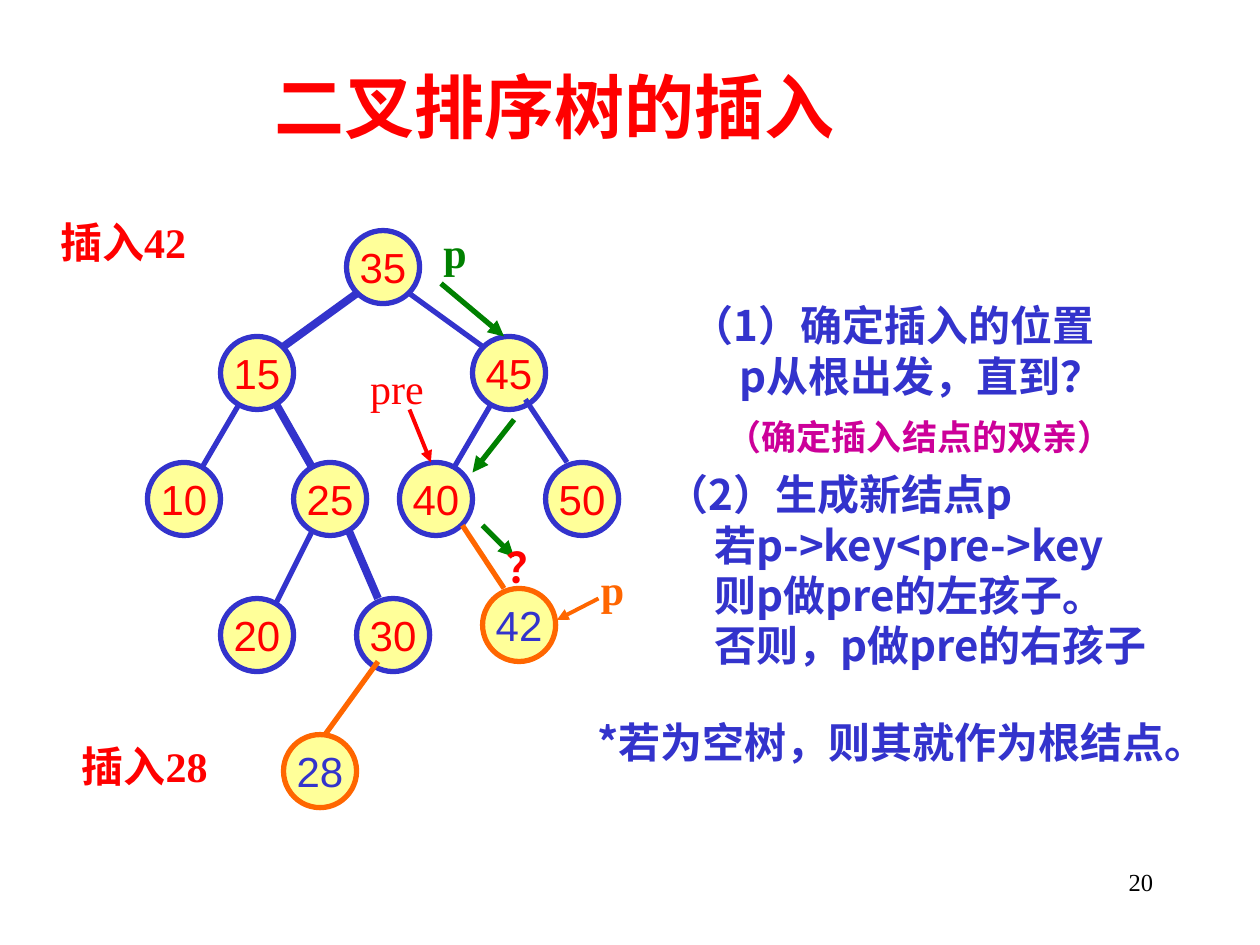
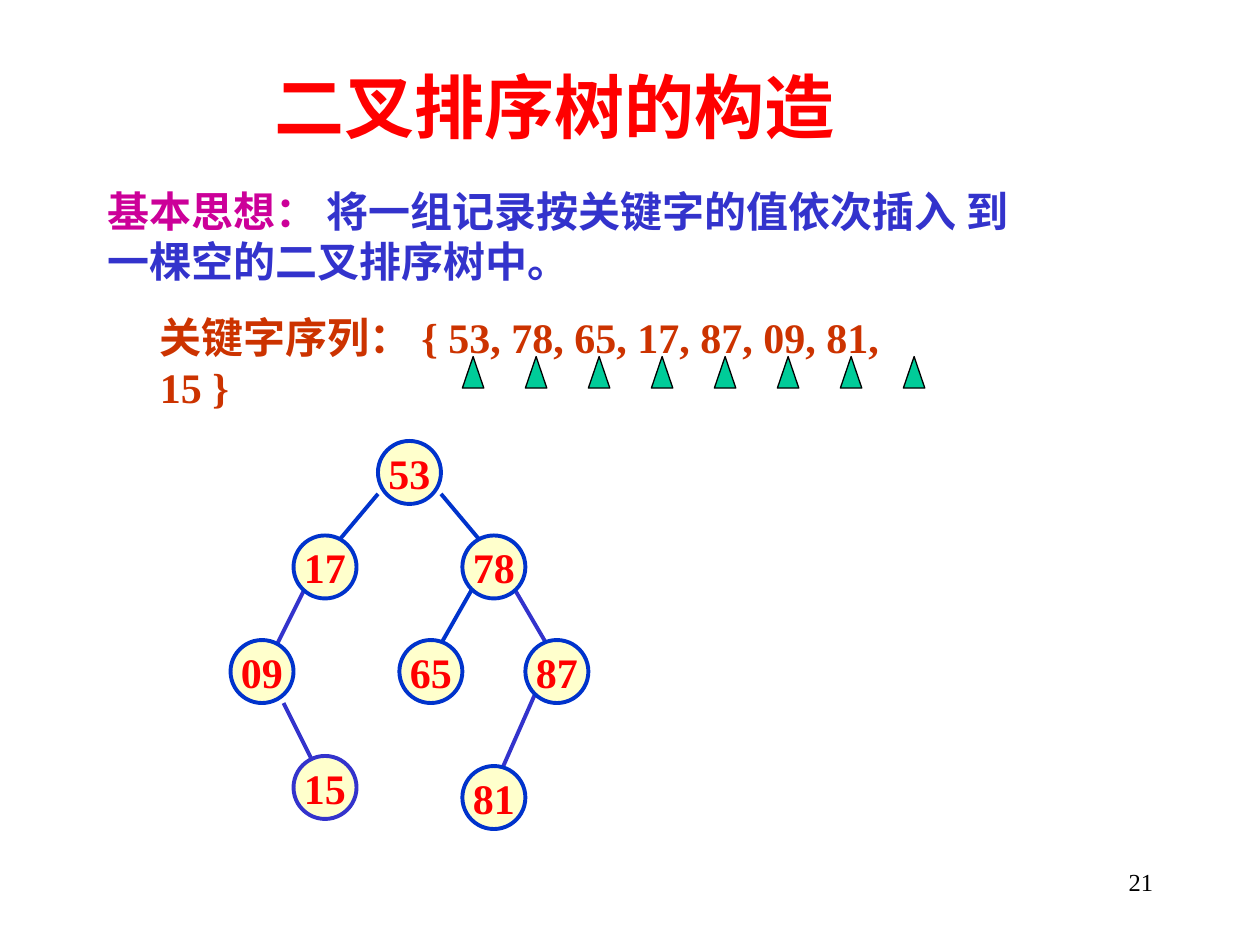
from dataclasses import dataclass
from typing import NamedTuple

from lxml import etree
from pptx import Presentation
from pptx.dml.color import RGBColor
from pptx.enum.shapes import MSO_CONNECTOR, MSO_SHAPE
from pptx.enum.text import MSO_ANCHOR, MSO_AUTO_SIZE, PP_ALIGN
from pptx.oxml.ns import qn
from pptx.util import Inches, Pt

ELLIPSE, TRIANGLE = MSO_SHAPE.OVAL, MSO_SHAPE.ISOSCELES_TRIANGLE
STRAIGHT = MSO_CONNECTOR.STRAIGHT
TOP, MIDDLE = MSO_ANCHOR.TOP, MSO_ANCHOR.MIDDLE
LEFT, CENTER, RIGHT = PP_ALIGN.LEFT, PP_ALIGN.CENTER, PP_ALIGN.RIGHT
NO_FIT = MSO_AUTO_SIZE.NONE

SANS, SERIF, CJK = "Arial", "Times New Roman", "Noto Sans CJK SC"
RED, BLUE, ROYAL, GREEN = "FF0000", "3333CC", "0033CC", "008000"
ORANGE, MAGENTA, RUST, BLACK = "FF6600", "CC0099", "CC3300", "000000"
TEAL, YELLOW, CREAM = "00CC99", "FFFF99", "FFFFCC"
STEP_INDENT = 0.38


@dataclass(frozen=True)
class TextStyle:
    color: str
    size: float = 24
    font: str = SERIF
    bold: bool = True
    align: int = LEFT
    anchor: int = TOP
    wrap: bool = True


@dataclass(frozen=True)
class TreeStyle:
    diameter: float
    fill: str
    line_width: float
    font: str
    bold: bool


class Box(NamedTuple):
    left: float
    top: float
    width: float
    height: float


class Span(NamedTuple):
    text: str
    color: str


class Line(NamedTuple):
    spans: list[Span]
    indent: float = 0


class Label(NamedTuple):
    text: str
    box: Box
    style: TextStyle


class Node(NamedTuple):
    key: str
    left: float
    top: float
    outline: str = BLUE
    text_color: str = RED


class Edge(NamedTuple):
    x1: float
    y1: float
    x2: float
    y2: float
    color: str = BLUE
    width: float = 3
    arrow: bool = False


TITLE = TextStyle(RED, 40, anchor=MIDDLE)
PAGE_NUMBER = TextStyle(BLACK, 14, bold=False, align=RIGHT)
CAPTION = TextStyle(RED)
STEP = TextStyle(BLUE, font=CJK)
TITLE_BOX = Box(2.08, 0.5, 4.92, 0.67)
PAGE_BOX = Box(7.17, 6.83, 2.08, 0.5)

INSERT_TREE = TreeStyle(0.58, YELLOW, 3, SANS, False)
INSERT_EDGES_BELOW = [
    Edge(3.92, 3.17, 3.58, 3.75),
    Edge(2.75, 4.17, 3, 4.75, width=4.5),
    Edge(2.5, 4.17, 2.17, 4.83),
    Edge(1.92, 3.17, 1.58, 3.75),
    Edge(2.17, 3.17, 2.5, 3.75, width=4.5),
]
INSERT_NODES = [
    Node("35", 2.75, 1.83), Node("15", 1.75, 2.67), Node("45", 3.75, 2.67),
    Node("50", 4.33, 3.67), Node("40", 3.17, 3.67), Node("25", 2.33, 3.67),
    Node("10", 1.17, 3.67), Node("20", 1.75, 4.75), Node("30", 2.83, 4.75),
    Node("42", 3.83, 4.67, ORANGE, BLUE), Node("28", 2.25, 5.83, ORANGE, BLUE),
]
INSERT_EDGES_ABOVE = [
    Edge(2.83, 2.33, 2.25, 2.75, width=4.5),
    Edge(3.25, 2.33, 3.83, 2.75),
    Edge(4.17, 3.17, 4.5, 3.67),
    Edge(3.83, 4.17, 4.08, 4.42, GREEN, arrow=True),
    Edge(4.08, 3.33, 3.75, 3.75, GREEN, arrow=True),
    Edge(3.5, 2.25, 4, 2.67, GREEN, arrow=True),
    Edge(3.67, 4.17, 4, 4.67, ORANGE),
    Edge(3.25, 3.25, 3.42, 3.67, RED, 2.25, True),
    Edge(4.75, 4.75, 4.42, 4.92, ORANGE, 2.25, True),
    Edge(3, 5.25, 2.58, 5.83, ORANGE),
]
INSERT_LABELS = [
    Label("插入42", Box(0.38, 1.67, 1.5, 0.5), CAPTION),
    Label("插入28", Box(0.55, 5.83, 1.5, 0.5), CAPTION),
    Label("？", Box(3.92, 4.25, 0.7, 0.5), CAPTION),
    Label("pre", Box(2.84, 2.83, 0.8, 0.5), TextStyle(RED, bold=False)),
    Label("p", Box(3.42, 1.75, 0.5, 0.5), TextStyle(GREEN)),
    Label("p", Box(4.67, 4.42, 0.5, 0.5), TextStyle(ORANGE)),
    Label("（确定插入结点的双亲）", Box(5.67, 3.25, 3.6, 0.44), TextStyle(MAGENTA, 20, CJK)),
    Label("*若为空树，则其就作为根结点。", Box(4.64, 5.64, 4.8, 0.9), STEP),
]
LOCATE_STEPS = [
    Line([Span("（1）确定插入的位置", BLUE)]),
    Line([Span("p从根出发，直到？", BLUE)], STEP_INDENT),
]
ATTACH_STEPS = [
    Line([Span("（2）生成新结点p", BLUE)]),
    Line([Span("若p->key<pre->key", BLUE)], STEP_INDENT),
    Line([Span("则p做pre的左孩子。", BLUE)], STEP_INDENT),
    Line([Span("否则，p做pre的右孩子", BLUE)], STEP_INDENT),
]

BUILD_TREE = TreeStyle(0.5, CREAM, 2.25, SERIF, True)
BUILD_EDGES = [
    Edge(2.25, 5.58, 2.5, 6.08, BLUE, 2.25),
    Edge(4.08, 4.67, 4.42, 5.25, BLUE, 2.25),
    Edge(2.42, 4.67, 2.17, 5.17, BLUE, 2.25),
    Edge(4.25, 5.5, 3.92, 6.25, BLUE, 2.25),
    Edge(3.5, 3.92, 3.92, 4.42, ROYAL, 2.25),
    Edge(3.75, 4.67, 3.42, 5.25, ROYAL, 2.25),
    Edge(3, 3.92, 2.58, 4.42, ROYAL, 2.25),
]
BUILD_NODES = [
    Node("53", 3, 3.5, ROYAL), Node("78", 3.67, 4.25, ROYAL),
    Node("65", 3.17, 5.08, ROYAL), Node("17", 2.33, 4.25, ROYAL),
    Node("87", 4.17, 5.08, ROYAL), Node("09", 1.83, 5.08, ROYAL),
    Node("81", 3.67, 6.08, ROYAL), Node("15", 2.33, 6),
]
IDEA = [Line([Span("基本思想：", MAGENTA),
              Span(" 将一组记录按关键字的值依次插入 到一棵空的二叉排序树中。", BLUE)])]
KEYS = Label("关键字序列： { 53, 78, 65, 17, 87, 09, 81, 15 }",
             Box(1.17, 2.42, 6.5, 0.9), TextStyle(RUST))
KEY_COUNT, KEY_PITCH = 8, 0.5


def rgb(color: str) -> RGBColor:
    """Turn a hex string into a colour."""
    return RGBColor.from_string(color)


def apply(target, values: dict) -> None:
    """Set each attribute of the target from the given values."""
    for attribute, value in values.items():
        setattr(target, attribute, value)


def place(shape, box: Box) -> None:
    """Move and size a shape."""
    apply(shape, {field: Inches(value) for field, value in box._asdict().items()})


def write(shape, lines: list[Line], style: TextStyle) -> None:
    """Fill a shape with formatted lines of text."""
    frame = shape.text_frame
    apply(frame, {"auto_size": NO_FIT, "word_wrap": style.wrap,
                  "vertical_anchor": style.anchor})
    for number, line in enumerate(lines):
        paragraph = frame.add_paragraph() if number else frame.paragraphs[0]
        properties = paragraph._p.get_or_add_pPr()
        properties.set("marL", str(Inches(line.indent)))
        properties.set("indent", "0")
        etree.SubElement(properties, qn("a:buNone"))
        apply(paragraph, {"alignment": style.align, "space_before": Pt(0)})
        for span in line.spans:
            run = paragraph.add_run()
            run.text = span.text
            apply(run.font, {"name": style.font, "size": Pt(style.size), "bold": style.bold})
            run.font.color.rgb = rgb(span.color)
            etree.SubElement(run._r.get_or_add_rPr(), qn("a:ea"), typeface=CJK)


def draw_text(slide, lines: list[Line], box: Box, style: TextStyle) -> None:
    """Add a text box holding the lines."""
    text_box = slide.shapes.add_textbox(*map(Inches, box))
    write(text_box, lines, style)


def draw_label(slide, label: Label) -> None:
    """Add a label of one paragraph."""
    draw_text(slide, [Line([Span(label.text, label.style.color)])], label.box, label.style)


def draw_shape(slide, kind: int, box: Box, fill: str, outline: str, width: float):
    """Add a filled and outlined preset shape."""
    shape = slide.shapes.add_shape(kind, *map(Inches, box))
    shape.shadow.inherit = False
    shape.fill.solid()
    shape.fill.fore_color.rgb = rgb(fill)
    shape.line.color.rgb = rgb(outline)
    shape.line.width = Pt(width)
    return shape


def draw_node(slide, node: Node, tree: TreeStyle) -> None:
    """Add a circle with its key."""
    box = Box(node.left, node.top, tree.diameter, tree.diameter)
    circle = draw_shape(slide, ELLIPSE, box, tree.fill, node.outline, tree.line_width)
    style = TextStyle(node.text_color, font=tree.font, bold=tree.bold,
                      align=CENTER, anchor=MIDDLE, wrap=False)
    write(circle, [Line([Span(node.key, node.text_color)])], style)


def draw_edge(slide, edge: Edge) -> None:
    """Add a line, with an arrowhead if the edge asks for it."""
    connector = slide.shapes.add_connector(STRAIGHT, *map(Inches, edge[:4]))
    connector.line.color.rgb = rgb(edge.color)
    connector.line.width = Pt(edge.width)
    if edge.arrow:
        etree.SubElement(connector.line._get_or_add_ln(), qn("a:tailEnd"), type="triangle")
    etree.SubElement(connector._element.spPr, qn("a:effectLst"))


def start_slide(deck, title: str, page: int, body: list[Line], body_box: Box,
                body_style: TextStyle):
    """Add a slide with its title, body text and page number."""
    slide = deck.slides.add_slide(deck.slide_layouts[1])
    heading, content = slide.shapes.title, slide.placeholders[1]
    place(heading, TITLE_BOX)
    write(heading, [Line([Span(title, RED)])], TITLE)
    place(content, body_box)
    write(content, body, body_style)
    draw_label(slide, Label(str(page), PAGE_BOX, PAGE_NUMBER))
    return slide


def build_insertion(deck) -> None:
    """Build the slide on inserting keys."""
    slide = start_slide(deck, "二叉排序树的插入", 20, ATTACH_STEPS,
                        Box(5.19, 3.67, 4.68, 1.7), STEP)
    for edge in INSERT_EDGES_BELOW:
        draw_edge(slide, edge)
    for node in INSERT_NODES:
        draw_node(slide, node, INSERT_TREE)
    for edge in INSERT_EDGES_ABOVE:
        draw_edge(slide, edge)
    draw_text(slide, LOCATE_STEPS, Box(5.39, 2.33, 3.94, 0.9), STEP)
    for label in INSERT_LABELS:
        draw_label(slide, label)


def build_construction(deck) -> None:
    """Build the slide on constructing the tree."""
    slide = start_slide(deck, "二叉排序树的构造", 21, IDEA,
                        Box(0.75, 1.42, 7.42, 0.9), TextStyle(BLUE))
    draw_label(slide, KEYS)
    for edge in BUILD_EDGES:
        draw_edge(slide, edge)
    for node in BUILD_NODES:
        draw_node(slide, node, BUILD_TREE)
    for position in range(KEY_COUNT):
        marker = Box(3.67 + KEY_PITCH * position, 2.83, 0.17, 0.25)
        draw_shape(slide, TRIANGLE, marker, TEAL, BLACK, 0.75)


def main() -> None:
    """Build and save the deck."""
    deck = Presentation()
    apply(deck, {"slide_width": Inches(10), "slide_height": Inches(7.5)})
    build_insertion(deck)
    build_construction(deck)
    deck.save("out.pptx")


if __name__ == "__main__":
    main()
